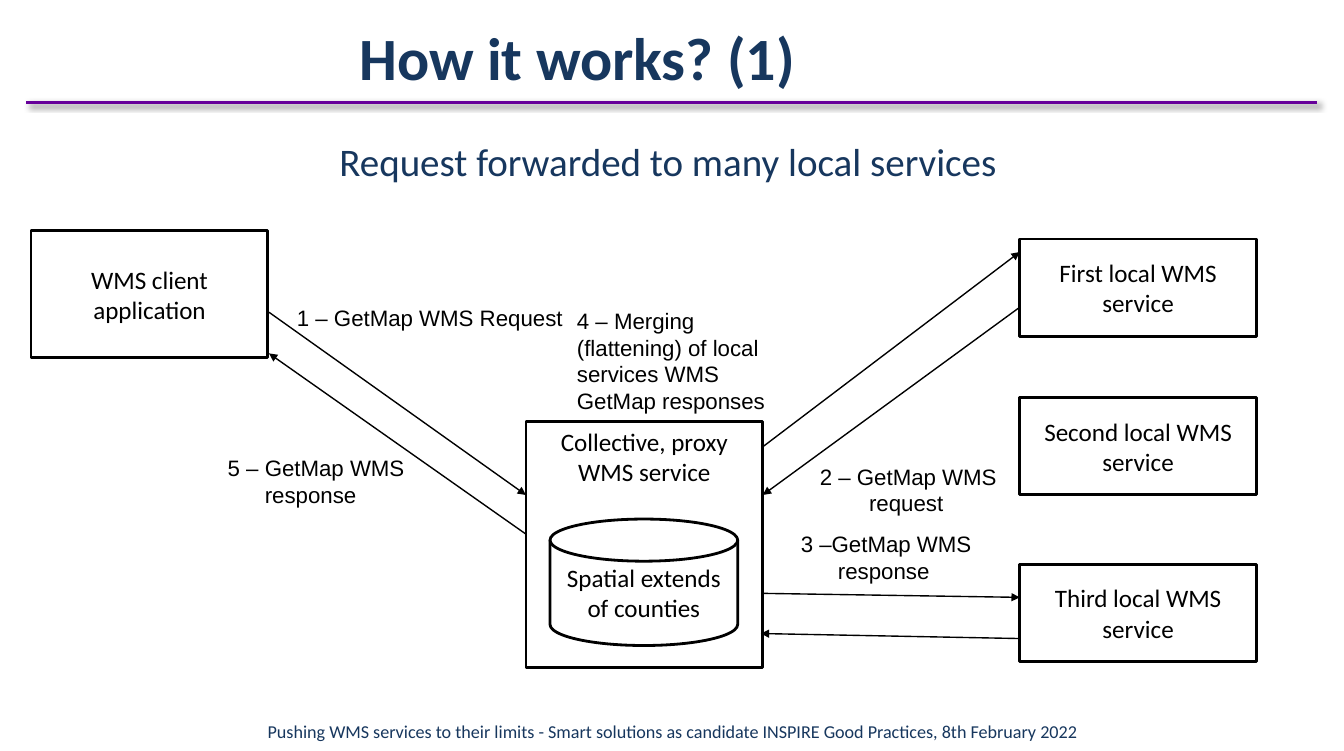
import pptx
import pptx.util
import pptx.dml.color
import pptx.enum.shapes
import pptx.enum.text
import pptx.oxml
import pptx.oxml.ns

Inches = pptx.util.Inches
Pt = pptx.util.Pt
SHAPE = pptx.enum.shapes.MSO_SHAPE
ALIGN = pptx.enum.text.PP_ALIGN
ANCHOR = pptx.enum.text.MSO_ANCHOR
NAVY, BLACK, WHITE, PURPLE = "17375E", "000000", "FFFFFF", "660099"


def color(value):
    """Turn a hex string into a colour."""
    return pptx.dml.color.RGBColor.from_string(value)


def xml(tag, attrs="", inner=""):
    """Build a DrawingML element."""
    ns = pptx.oxml.ns.nsdecls("a")
    return pptx.oxml.parse_xml(f"<a:{tag} {ns} {attrs}>{inner}</a:{tag}>")


def write(tf, text, size=16, font="Arial", hue=BLACK, bold=False, align=ALIGN.LEFT,
          anchor=ANCHOR.TOP, wrap=True, inset=(0.1, 0.05), indent=0):
    """Fill a text frame; lines after the first are indented paragraphs."""
    tf.word_wrap = wrap
    tf.vertical_anchor = anchor
    tf.margin_left = tf.margin_right = Inches(inset[0])
    tf.margin_top = tf.margin_bottom = Inches(inset[1])
    for i, line in enumerate(text.split("\n")):
        p = tf.paragraphs[0] if i == 0 else tf.add_paragraph()
        p.alignment = align
        if i and indent:
            p._p.get_or_add_pPr().set("marL", str(Inches(indent)))
        r = p.add_run()
        r.text = line
        r.font.size, r.font.name, r.font.bold = Pt(size), font, bold
        r.font.color.rgb = color(hue)


def label(slide, box, text, **fmt):
    """Add a text box."""
    sp = slide.shapes.add_textbox(*map(Inches, box))
    write(sp.text_frame, text, **fmt)


def node(slide, box, text, kind=SHAPE.RECTANGLE, anchor=ANCHOR.MIDDLE):
    """Add a white outlined shape with centred text."""
    sp = slide.shapes.add_shape(kind, *map(Inches, box))
    sp.shadow.inherit = False
    sp.fill.solid()
    sp.fill.fore_color.rgb = color(WHITE)
    sp.line.color.rgb = color(BLACK)
    sp.line.width = Pt(2)
    write(sp.text_frame, text, size=18, font="Calibri", align=ALIGN.CENTER, anchor=anchor)


def line(slide, x1, y1, x2, y2, hue=BLACK, width=1, arrow=True, shadow=""):
    """Add a straight line, with an arrowhead at its end if asked."""
    c = slide.shapes.add_connector(pptx.enum.shapes.MSO_CONNECTOR.STRAIGHT,
                                   *map(Inches, (x1, y1, x2, y2)))
    c.line.color.rgb = color(hue)
    c.line.width = Pt(width)
    if arrow:
        c.line._get_or_add_ln().append(xml("tailEnd", 'type="triangle" w="med" len="med"'))
    c._element.spPr.append(xml("effectLst", inner=shadow))


def header(slide, x, y, w):
    """Draw the title, its rule and the subtitle."""
    shadow = (f'<a:outerShdw blurRad="{Pt(4)}" dist="{Pt(3)}" dir="2700000">'
              '<a:srgbClr val="000000"><a:alpha val="40000"/></a:srgbClr></a:outerShdw>')
    line(slide, x + 0.26, y + 1.02, x + w - 0.27, y + 1.02, hue=PURPLE, width=2.5,
         arrow=False, shadow=shadow)
    fmt = dict(font="Calibri", hue=NAVY, align=ALIGN.CENTER, inset=(0.13, 0.07))
    label(slide, (x + 2.27, y + 0.13, 6.96, 0.86), "How it works? (1)",
          size=43, bold=True, anchor=ANCHOR.MIDDLE, **fmt)
    label(slide, (x + 0.63, y + 1.3, 12.05, 0.66),
          "Request forwarded to many local services", size=28, **fmt)


def client(slide, x, y):
    """Draw the client and its exchange with the proxy."""
    node(slide, (x, y, 2.36, 1.26), "WMS client application")
    line(slide, x + 2.37, y + 0.81, x + 4.93, y + 2.63)
    line(slide, x + 4.93, y + 3.02, x + 2.37, y + 1.22)
    label(slide, (x + 2.55, y + 0.68, 2.89, 0.37), "1 – GetMap WMS Request", wrap=False)
    label(slide, (x + 1.86, y + 2.18, 2.05, 0.64), "5 – GetMap WMS\nresponse", indent=0.37)


def proxy(slide, x, y):
    """Draw the proxy service with its database and merging step."""
    node(slide, (x, y, 2.36, 2.45), "Collective, proxy WMS service", anchor=ANCHOR.TOP)
    node(slide, (x + 0.24, y + 0.97, 1.87, 1.26), "Spatial extends of counties",
         kind=SHAPE.FLOWCHART_MAGNETIC_DISK)
    label(slide, (x + 0.41, y - 1.19, 2.16, 1.18),
          "4 – Merging (flattening) of local services WMS GetMap responses")


def local_services(slide, x, y):
    """Draw the local services and their exchanges with the proxy."""
    for name, dy in (("First", 0), ("Second", 1.58), ("Third", 3.24)):
        node(slide, (x, y + dy, 2.36, 0.97), f"{name} local WMS service")
    left = x - 2.56
    line(slide, left, y + 2.07, x, y + 0.13)
    line(slide, x, y + 0.68, left, y + 2.55)
    line(slide, left, y + 3.53, x, y + 3.57)
    line(slide, x, y + 3.98, left - 0.02, y + 3.93)
    label(slide, (x - 2.09, y + 2.18, 1.99, 0.64), "2 – GetMap WMS\nrequest",
          wrap=False, indent=0.49)
    label(slide, (x - 2.28, y + 2.85, 3.42, 0.64), "3 –GetMap WMS\nresponse", indent=0.37)


def footer(slide, x, y, w):
    """Write the event line at the foot."""
    label(slide, (x, y, w, 0.4),
          "Pushing WMS services to their limits - Smart solutions as candidate "
          "INSPIRE Good Practices, 8th February 2022",
          size=13, font="Calibri", hue=NAVY, align=ALIGN.CENTER,
          anchor=ANCHOR.MIDDLE, inset=(0.13, 0.07))


def main():
    """Build and save the slide."""
    prs = pptx.Presentation()
    prs.slide_width, prs.slide_height = Inches(13.39), Inches(7.48)
    slide = prs.slides.add_slide(prs.slide_layouts[6])
    header(slide, 0, 0, 13.39)
    client(slide, 0.31, 2.3)
    proxy(slide, 5.24, 4.2)
    local_services(slide, 10.16, 2.38)
    footer(slide, 0, 7.08, 13.39)
    prs.save("out.pptx")


if __name__ == "__main__":
    main()
